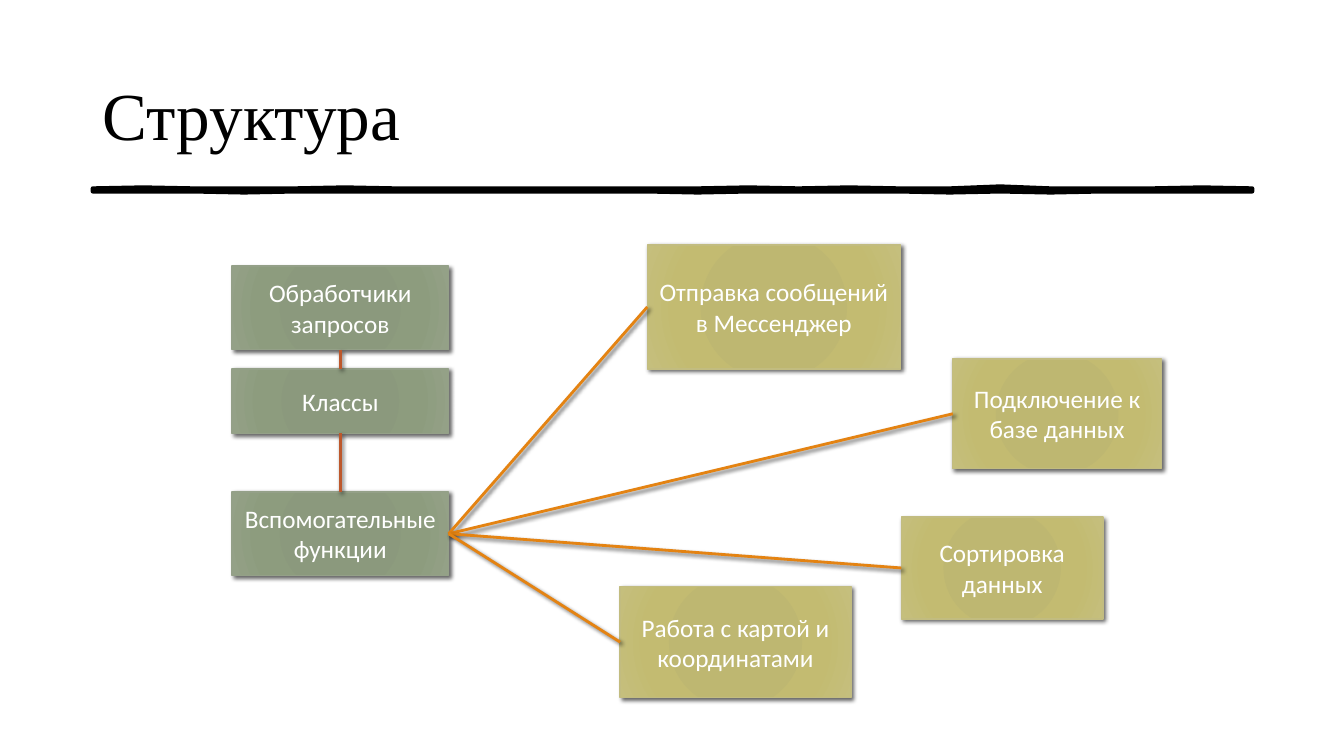
from lxml import etree
from pptx import Presentation
from pptx.dml.color import RGBColor
from pptx.enum.shapes import MSO_CONNECTOR, MSO_SHAPE
from pptx.enum.text import MSO_ANCHOR, PP_ALIGN
from pptx.oxml import parse_xml
from pptx.oxml.ns import qn
from pptx.util import Inches, Pt

RECT, STRAIGHT = MSO_SHAPE.RECTANGLE, MSO_CONNECTOR.STRAIGHT
CENTER, MIDDLE = PP_ALIGN.CENTER, MSO_ANCHOR.MIDDLE
TOP, LEFT, BOTTOM, RIGHT = range(4)  # connection sites of a rectangle
NS = 'xmlns:a="http://schemas.openxmlformats.org/drawingml/2006/main"'

# Content
TITLE = "Структура"
BOXES = {  # key: (text, style, left, top, width, height)
    "handlers": ("Обработчики запросов", "green", 2.3, 2.64, 2.15, 0.83),
    "helpers": ("Вспомогательные функции", "green", 2.3, 4.88, 2.15, 0.83),
    "classes": ("Классы", "green", 2.3, 3.66, 2.15, 0.64),
    "messages": ("Отправка сообщений в Мессенджер", "olive", 6.42, 2.43, 2.51, 1.23),
    "map": ("Работа с картой и координатами", "olive", 6.15, 5.82, 2.29, 1.1),
    "sorting": ("Сортировка данных", "olive", 8.94, 5.13, 2, 1.01),
    "database": ("Подключение к базе данных", "olive", 9.45, 3.56, 2.07, 1.09),
}
LINKS = [  # (from, site, to, site, colour)
    ("handlers", BOTTOM, "classes", TOP, "rust"),
    ("helpers", TOP, "classes", BOTTOM, "rust"),
    ("helpers", RIGHT, "messages", LEFT, "orange"),
    ("helpers", RIGHT, "database", LEFT, "orange"),
    ("helpers", RIGHT, "sorting", LEFT, "orange"),
    ("helpers", RIGHT, "map", LEFT, "orange"),
]
COLORS = {"black": "000000", "white": "FFFFFF", "green": "94A088",
          "olive": "C2BC80", "rust": "BD582C", "orange": "E48312"}
GRADIENTS = {  # (position in percent, colour)
    "green": [(0, "8A987B"), (34, "8B997D"), (70, "8D9C7E"), (100, "94A187")],
    "olive": [(0, "BEB76E"), (34, "BEB771"), (70, "C3BB71"), (100, "C5BF7D")],
}
# Brush stroke: edge offsets in hundredths of an inch, at equal steps
STROKE_LEFT, STROKE_TOP, STROKE_WIDTH, STROKE_HEIGHT = 0.92, 1.87, 11.5, 0.03
UPPER_EDGE = [0, -1, 0, 0, 0, -1, 0, 0, 0, 0, 0, 0, 0, -1, 0, -1, 0, 0, -2, 0, 0, 0, -1, 0]
LOWER_EDGE = [0, 0, 0, 1, 0, 0, 0, 0, 0, 0, 0, 0, 1, 0, 0, 0, 0, 1, 0, 1, 0, 0, 0, 0]


def rgb(name):
    return RGBColor.from_string(COLORS[name])


def set_line(s, color, width):
    s.line.color.rgb = rgb(color)
    s.line.width = Pt(width)


def add_shadow(s):
    s._element.spPr.append(parse_xml(
        f'<a:effectLst {NS}><a:outerShdw blurRad="38100" dist="25400" dir="2700000" '
        'algn="ctr" rotWithShape="0"><a:srgbClr val="000000"><a:alpha val="60000"/>'
        '</a:srgbClr></a:outerShdw></a:effectLst>'))


def set_gradient(s, stops):
    s.fill.gradient()
    grad = s._element.spPr.find(qn("a:gradFill"))
    for child in list(grad):
        grad.remove(child)
    stop_list = etree.SubElement(grad, qn("a:gsLst"))
    for pos, color in stops:
        stop = etree.SubElement(stop_list, qn("a:gs"), pos=str(pos * 1000))
        etree.SubElement(stop, qn("a:srgbClr"), val=color)
    circle = etree.SubElement(grad, qn("a:path"), {"path": "circle"})
    etree.SubElement(circle, qn("a:fillToRect"), {side: "100000" for side in "ltrb"})


def write(s, text, font, size, color, align=None):
    tf = s.text_frame
    tf.word_wrap = True
    tf.vertical_anchor = MIDDLE
    p = tf.paragraphs[0]
    p.alignment = align
    r = p.add_run()
    r.text = text
    r.font.name, r.font.size = font, Pt(size)
    r.font.color.rgb = rgb(color)


prs = Presentation()
prs.slide_width, prs.slide_height = Inches(13.33), Inches(7.5)
slide = prs.slides.add_slide(prs.slide_layouts[6])
shapes = slide.shapes

# Brush stroke under the title
step = STROKE_WIDTH / (len(UPPER_EDGE) - 1)
upper = [(STROKE_LEFT + i * step, STROKE_TOP + d / 100) for i, d in enumerate(UPPER_EDGE)]
lower = [(STROKE_LEFT + i * step, STROKE_TOP + STROKE_HEIGHT + d / 100)
         for i, d in enumerate(LOWER_EDGE)]
outline = [(Inches(x), Inches(y)) for x, y in upper + lower[::-1]]
builder = shapes.build_freeform(*outline[0])
builder.add_line_segments(outline[1:], close=True)
stroke = builder.convert_to_shape()
stroke.shadow.inherit = False
stroke.fill.solid()
stroke.fill.fore_color.rgb = rgb("black")
set_line(stroke, "black", 3)

# Title
title = shapes.add_textbox(Inches(0.92), Inches(0.4), Inches(11.5), Inches(1.45))
write(title, TITLE, "Times New Roman", 48, "black")

# Boxes
placed = {}
for key, (text, style, *frame) in BOXES.items():
    s = shapes.add_shape(RECT, *map(Inches, frame))
    set_gradient(s, GRADIENTS[style])
    set_line(s, style, 1)
    add_shadow(s)
    write(s, text, "Calibri", 18, "white", CENTER)
    placed[key] = s

# Links between boxes
for start, start_site, end, end_site, color in LINKS:
    link = shapes.add_connector(STRAIGHT, 0, 0, 0, 0)
    link.begin_connect(placed[start], start_site)
    link.end_connect(placed[end], end_site)
    set_line(link, color, 2)
    add_shadow(link)

prs.save("out.pptx")
